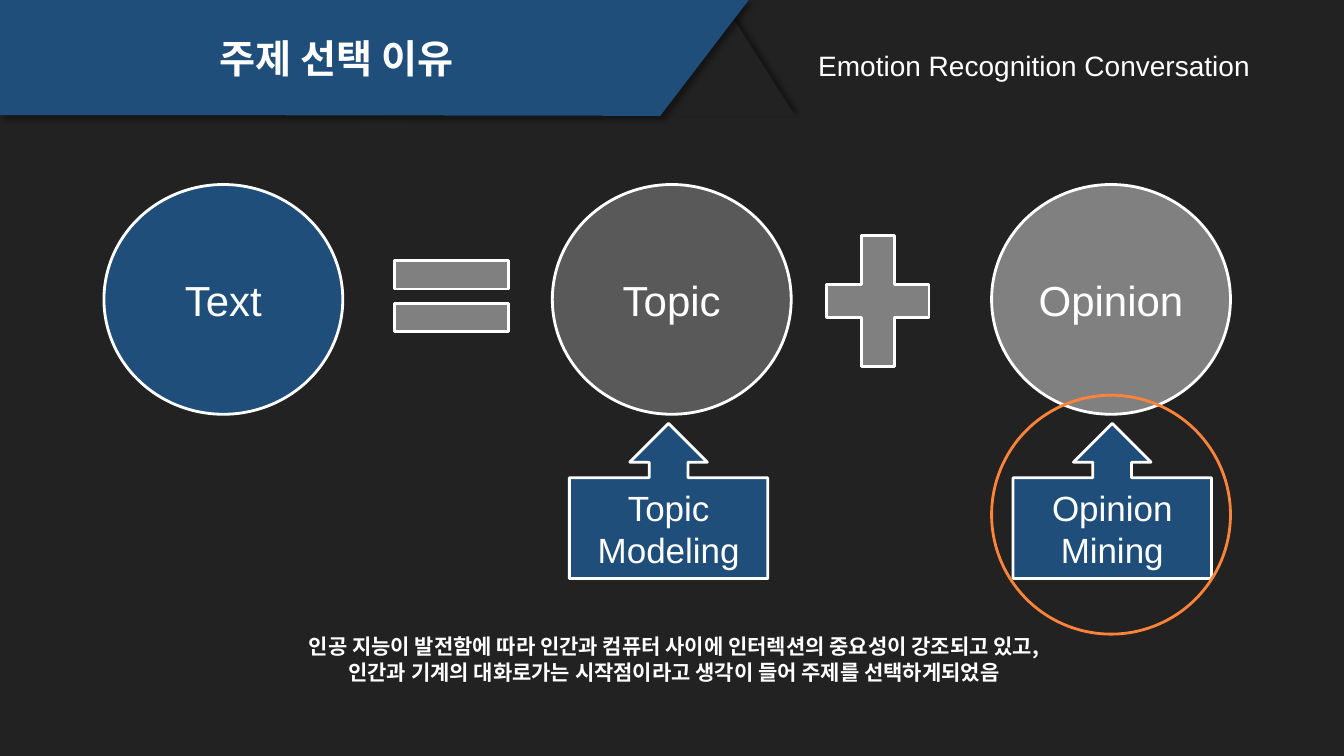
from lxml import etree
from pptx import Presentation
from pptx.dml.color import RGBColor
from pptx.enum.shapes import MSO_SHAPE
from pptx.enum.text import MSO_ANCHOR, MSO_AUTO_SIZE, PP_ALIGN
from pptx.oxml.ns import qn
from pptx.util import Cm, Pt

TRIANGLE = MSO_SHAPE.ISOSCELES_TRIANGLE
OVAL = MSO_SHAPE.OVAL
EQUALS = MSO_SHAPE.MATH_EQUAL
PLUS = MSO_SHAPE.MATH_PLUS
CALLOUT = MSO_SHAPE.UP_ARROW_CALLOUT
TOP, MIDDLE = MSO_ANCHOR.TOP, MSO_ANCHOR.MIDDLE
LEFT, CENTER = PP_ALIGN.LEFT, PP_ALIGN.CENTER
NO_AUTOFIT = MSO_AUTO_SIZE.NONE

LATIN, KOREAN = "Arial", "Noto Sans CJK KR"
TITLE_ONLY = 5
COLORS = {
    "background": "222222",
    "blue": "1E4E79",
    "dark_gray": "595959",
    "gray": "808080",
    "orange": "FF843A",
    "white": "FFFFFF",
    "black": "000000",
}


def color(name):
    return RGBColor.from_string(COLORS[name])


def write(shape, lines, size, font=LATIN, bold=False, align=CENTER, anchor=TOP):
    """Fill the shape with one white paragraph per line."""
    frame = shape.text_frame
    frame.text = "\n".join(lines)
    frame.word_wrap = True
    frame.auto_size = NO_AUTOFIT
    frame.vertical_anchor = anchor
    for paragraph in frame.paragraphs:
        paragraph.alignment = align
        paragraph.font.size = Pt(size)
        paragraph.font.bold = bold
        paragraph.font.name = font
        paragraph.font.color.rgb = color("white")
        properties = paragraph._p.get_or_add_pPr().get_or_add_defRPr()
        etree.SubElement(properties, qn("a:ea"), typeface=font)


def add_text(slide, box, lines, size, **style):
    write(slide.shapes.add_textbox(*map(Cm, box)), lines, size, **style)


def paint(shape, fill=None, line=None):
    shape.shadow.inherit = False
    if fill:
        shape.fill.solid()
        shape.fill.fore_color.rgb = color(fill)
    else:
        shape.fill.background()
    if line:
        shape.line.color.rgb = color(line)
        shape.line.width = Pt(2)
    else:
        shape.line.fill.background()


def add_figure(slide, kind, box, fill=None, line="white", lines=(), size=30):
    shape = slide.shapes.add_shape(kind, *map(Cm, box))
    paint(shape, fill, line)
    if lines:
        write(shape, lines, size, anchor=MIDDLE)
    return shape


def cast_shadow(shape, degrees):
    effects = shape._element.spPr.find(qn("a:effectLst"))
    shadow = etree.SubElement(
        effects, qn("a:outerShdw"), blurRad=str(Pt(4)), dist=str(Pt(3)),
        dir=str(degrees * 60000), algn="tl", rotWithShape="0")
    shade = etree.SubElement(shadow, qn("a:srgbClr"), val=COLORS["black"])
    etree.SubElement(shade, qn("a:alpha"), val="40000")


def add_banner(slide):
    corners = [(18.87, 0), (16.64, 2.92), (3.94, 2.9), (0, 2.9)]
    builder = slide.shapes.build_freeform(0, 0)
    builder.add_line_segments([(Cm(x), Cm(y)) for x, y in corners], close=True)
    banner = builder.convert_to_shape()
    paint(banner, "blue")
    cast_shadow(banner, 45)


def place_title(slide, box, text):
    """Move the title placeholder onto the banner and in front of it."""
    title = slide.shapes.title
    title.left, title.top, title.width, title.height = map(Cm, box)
    write(title, [text], 28, font=KOREAN, bold=True)
    title.element.getparent().append(title.element)


def add_header(slide):
    fold = add_figure(slide, TRIANGLE, (16.69, 0.28, 3.35, 2.64), "background", None)
    cast_shadow(fold, 315)
    add_banner(slide)
    add_text(slide, (20.37, 1.09, 11.96, 1.12),
             ["Emotion Recognition Conversation"], 20, align=LEFT)
    place_title(slide, (1.8, 0.74, 13.36, 1.45), "주제 선택 이유")


def add_equation(slide):
    terms = [(2.62, "blue", "Text"), (13.92, "dark_gray", "Topic"),
             (24.99, "gray", "Opinion")]
    for left, fill, word in terms:
        add_figure(slide, OVAL, (left, 4.65, 6.02, 5.79), fill, lines=[word])
    add_figure(slide, EQUALS, (9.42, 5.94, 3.91, 3.05), "gray")
    add_figure(slide, PLUS, (20.37, 5.33, 3.51, 4.5), "gray")


def add_methods(slide):
    for left, lines in [(14.35, ["Topic Modeling"]), (25.53, ["Opinion", "Mining"])]:
        add_figure(slide, CALLOUT, (left, 10.67, 5, 3.91), "blue", lines=lines, size=25)


def main():
    presentation = Presentation()
    presentation.slide_width, presentation.slide_height = Cm(33.87), Cm(19.05)
    slide = presentation.slides.add_slide(presentation.slide_layouts[TITLE_ONLY])
    slide.background.fill.solid()
    slide.background.fill.fore_color.rgb = color("background")

    add_header(slide)
    add_equation(slide)
    add_methods(slide)
    add_text(slide, (2.46, 15.85, 29.06, 1.5), [
        "인공 지능이 발전함에 따라 인간과 컴퓨터 사이에 인터렉션의 중요성이 강조되고 있고,",
        "인간과 기계의 대화로가는 시작점이라고 생각이 들어 주제를 선택하게되었음",
    ], 15, font=KOREAN, bold=True)
    add_figure(slide, OVAL, (24.99, 9.96, 6.02, 6.02), line="orange")

    presentation.save("out.pptx")


if __name__ == "__main__":
    main()
